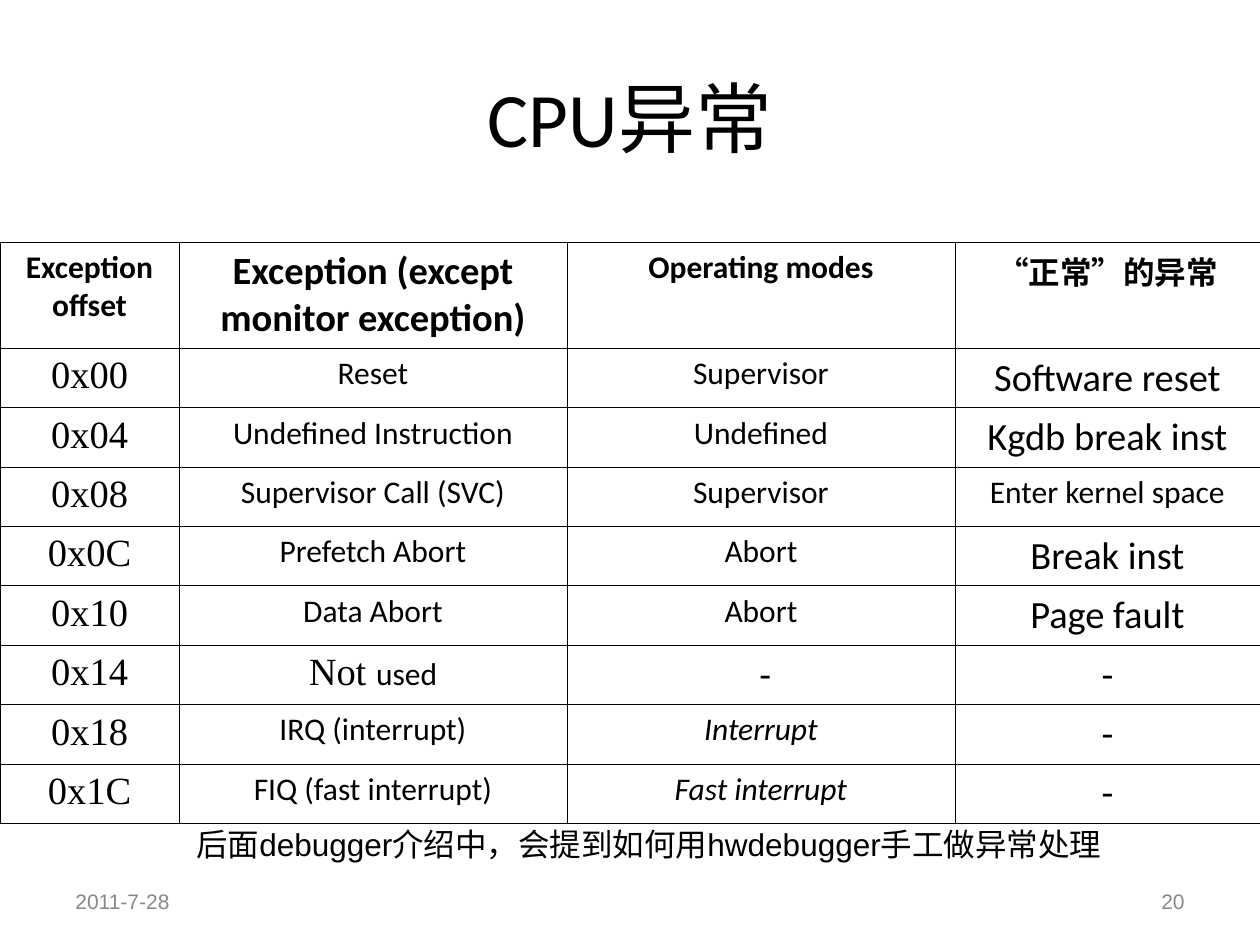
from lxml.etree import SubElement
from pptx import Presentation
from pptx.dml.color import RGBColor
from pptx.enum.text import MSO_ANCHOR, PP_ALIGN
from pptx.oxml.ns import qn
from pptx.util import Emu, Pt

TITLE = "CPU异常"
HEADS = ["Exception offset", "Exception (except monitor exception)",
         "Operating modes", "“正常”的异常"]
ROWS = [
    ["0x00", "Reset", "Supervisor", "Software reset"],
    ["0x04", "Undefined Instruction", "Undefined", "Kgdb break inst"],
    ["0x08", "Supervisor Call (SVC)", "Supervisor", "Enter kernel space"],
    ["0x0C", "Prefetch Abort", "Abort", "Break inst"],
    ["0x10", "Data Abort", "Abort", "Page fault"],
    ["0x14", "Not used", " -", "-"],
    ["0x18", "IRQ (interrupt)", "Interrupt", "-"],
    ["0x1C", "FIQ (fast interrupt)", "Fast interrupt", "-"],
]
# text, box (px), size, colour, alignment, anchor, wrap
NOTES = [
    ("后面debugger介绍中，会提到如何用hwdebugger手工做异常处理",
     (184, 819, 946, 50), 18, "000000", PP_ALIGN.LEFT, MSO_ANCHOR.TOP, False),
    ("20", (903, 876, 294, 50), 12, "898989", PP_ALIGN.RIGHT, MSO_ANCHOR.MIDDLE, True),
    ("2011-7-28", (63, 876, 294, 50), 12, "898989", PP_ALIGN.LEFT, MSO_ANCHOR.MIDDLE, True),
]

HEAD_SIZES = [18, 22, 18, 18]
BODY_FONTS = [("Times New Roman", 22), ("Calibri", 18), ("Calibri", 18), ("Calibri", 22)]
SIZES = {"Enter kernel space": 18, " -": 22}
ITALIC = {"Interrupt", "Fast interrupt"}
SPLIT = {"Not used": [("Not ", "Times New Roman", 22), ("used", "Calibri", 18)]}
COLS = [179, 388, 388, 305]
HEAD_H, ROW_H = 106, 59
TABLE_TOP = 242


def px(n):
    return Emu(round(n * 914400 / 126))


def rgb(code):
    return RGBColor.from_string(code)


def style(font, name, size, color="000000", bold=False, italic=False):
    font.name, font.size = name, Pt(size)
    font.bold, font.italic = bold, italic
    font.color.rgb = rgb(color)


def border(cell):
    props = cell._tc.get_or_add_tcPr()
    for i, side in enumerate(("lnL", "lnR", "lnT", "lnB")):
        line = props.makeelement(qn("a:" + side), {"w": str(Pt(0.45))})
        props.insert(i, line)
        fill = SubElement(line, qn("a:solidFill"))
        SubElement(fill, qn("a:srgbClr"), val="000000")


def fill_cell(cell, text, name, size, bold):
    cell.fill.solid()
    cell.fill.fore_color.rgb = rgb("FFFFFF")
    cell.margin_left = cell.margin_right = Pt(7.2)
    cell.margin_top = cell.margin_bottom = Pt(3.6)
    border(cell)
    para = cell.text_frame.paragraphs[0]
    para.alignment = PP_ALIGN.CENTER
    if text in SPLIT:
        for part, face, pts in SPLIT[text]:
            run = para.add_run()
            run.text = part
            style(run.font, face, pts)
    else:
        para.text = text
        style(para.font, name, SIZES.get(text, size), bold=bold, italic=text in ITALIC)


def add_grid(slide):
    height = HEAD_H + ROW_H * len(ROWS)
    table = slide.shapes.add_table(len(ROWS) + 1, len(COLS), 0, px(TABLE_TOP),
                                   px(sum(COLS)), px(height)).table
    table.first_row = table.horz_banding = False
    for col, width in zip(table.columns, COLS):
        col.width = px(width)
    for r, texts in enumerate([HEADS] + ROWS):
        head = r == 0
        table.rows[r].height = px(HEAD_H if head else ROW_H)
        for c, text in enumerate(texts):
            name, size = ("Calibri", HEAD_SIZES[c]) if head else BODY_FONTS[c]
            fill_cell(table.cell(r, c), text, name, size, head)


def add_note(slide, text, box, size, color, align, anchor, wrap):
    frame = slide.shapes.add_textbox(*map(px, box)).text_frame
    frame.word_wrap, frame.vertical_anchor = wrap, anchor
    para = frame.paragraphs[0]
    para.text, para.alignment = text, align
    style(para.font, "Arial", size, color)


def main():
    deck = Presentation()
    deck.slide_width, deck.slide_height = px(1260), px(945)
    slide = deck.slides.add_slide(deck.slide_layouts[5])
    title = slide.shapes.title
    title.left, title.top, title.width, title.height = map(px, (63, 38, 1134, 158))
    title.text_frame.vertical_anchor = MSO_ANCHOR.MIDDLE
    para = title.text_frame.paragraphs[0]
    para.text, para.alignment = TITLE, PP_ALIGN.CENTER
    style(para.font, "Calibri", 44)
    add_grid(slide)
    for note in NOTES:
        add_note(slide, *note)
    deck.save("out.pptx")


if __name__ == "__main__":
    main()
